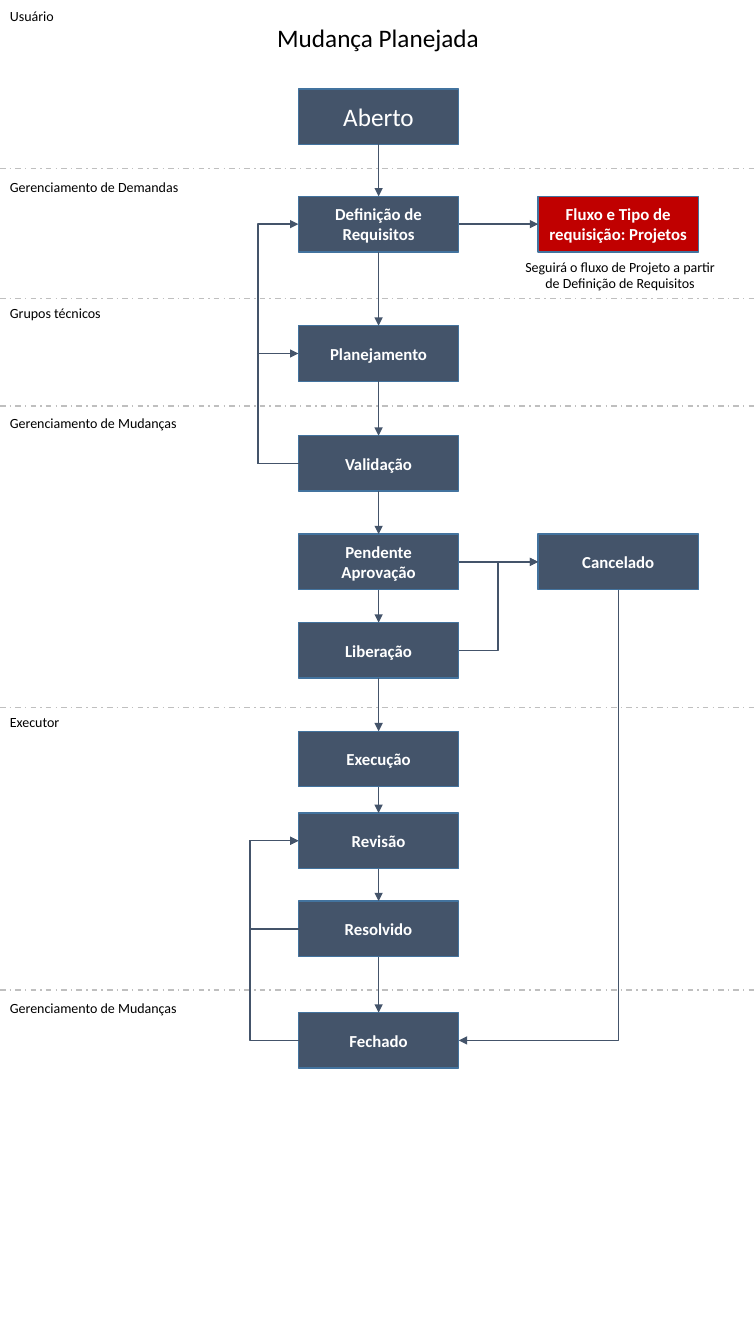
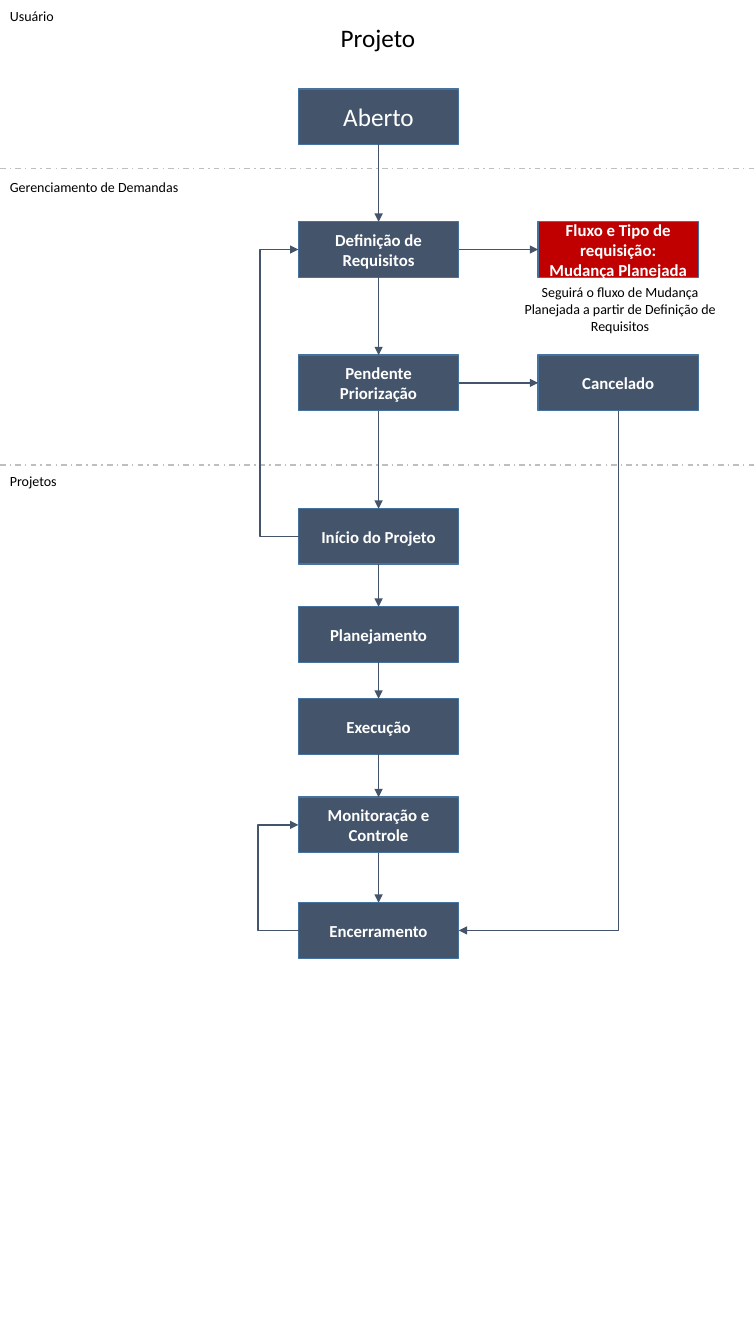
import lxml.etree
import pptx
import pptx.dml.color
import pptx.enum.dml
import pptx.enum.shapes
import pptx.enum.text
import pptx.oxml.ns
import pptx.util

Cm = pptx.util.Cm
Pt = pptx.util.Pt
qn = pptx.oxml.ns.qn
ALIGN = pptx.enum.text.PP_ALIGN
ANCHOR = pptx.enum.text.MSO_ANCHOR
CONNECTOR = pptx.enum.shapes.MSO_CONNECTOR

COLORS = {
    "step": "44546A",
    "redirect": "C00000",
    "outline": "43739E",
    "divider": "BFBFBF",
    "text": "000000",
    "white": "FFFFFF",
}
FONT = "Calibri"
PAGE_WIDTH, PAGE_HEIGHT = 19.05, 33.87
BOX_WIDTH, BOX_HEIGHT = 4.04, 1.4
MAIN_LEFT, BRANCH_LEFT = 7.52, 13.56
TOP, LEFT, BOTTOM, RIGHT = range(4)

PLANNED_CHANGE = {
    "title": "Mudança Planejada",
    "dividers": [4.24, 7.53, 10.23, 17.83, 24.95],
    "lanes": [
        ("Usuário", 0.07),
        ("Gerenciamento de Demandas", 4.38),
        ("Grupos técnicos", 7.55),
        ("Gerenciamento de Mudanças", 10.31),
        ("Executor", 17.86),
        ("Gerenciamento de Mudanças", 25.06),
    ],
    "steps": [
        ("Aberto", 2.24),
        ("Definição de Requisitos", 4.95),
        ("Planejamento", 8.21),
        ("Validação", 10.98),
        ("Pendente Aprovação", 13.46),
        ("Liberação", 15.69),
        ("Execução", 18.43),
        ("Revisão", 20.49),
        ("Resolvido", 22.71),
        ("Fechado", 25.52),
    ],
    "redirect": "Fluxo e Tipo de requisição: Projetos",
    "note": "Seguirá o fluxo de Projeto a partir de Definição de Requisitos",
    "note_height": 1.12,
    "cancel_from": "Pendente Aprovação",
    "loops": [
        ("Validação", "Definição de Requisitos", 6.5),
        ("Validação", "Planejamento", 6.5),
        ("Resolvido", "Revisão", 6.3),
        ("Fechado", "Revisão", 6.3),
    ],
    "late_cancel": ("Liberação", 12.55),
}

PROJECT = {
    "title": "Projeto",
    "dividers": [4.24, 11.72],
    "lanes": [
        ("Usuário", 0.07),
        ("Gerenciamento de Demandas", 4.38),
        ("Projetos", 11.79),
    ],
    "steps": [
        ("Aberto", 2.24),
        ("Definição de Requisitos", 5.59),
        ("Pendente Priorização", 8.95),
        ("Início do Projeto", 12.82),
        ("Planejamento", 15.29),
        ("Execução", 17.61),
        ("Monitoração e Controle", 20.09),
        ("Encerramento", 22.75),
    ],
    "redirect": "Fluxo e Tipo de requisição: Mudança Planejada",
    "note": "Seguirá o fluxo de Mudança Planejada a partir de Definição de Requisitos",
    "note_height": 1.54,
    "cancel_from": "Pendente Priorização",
    "loops": [
        ("Início do Projeto", "Definição de Requisitos", 6.55),
        ("Encerramento", "Monitoração e Controle", 6.5),
    ],
    "late_cancel": None,
}


def rgb(name):
    return pptx.dml.color.RGBColor.from_string(COLORS[name])


def write(shape, text, size, color="text", bold=False, align=ALIGN.CENTER):
    shape.text_frame.text = text
    para = shape.text_frame.paragraphs[0]
    para.alignment = align
    font = para.runs[0].font
    font.name, font.size, font.bold = FONT, Pt(size), bold
    font.color.rgb = rgb(color)


def set_title(page, text):
    title = page.shapes.title
    title.left, title.top = Cm(0), Cm(0.43)
    title.width, title.height = Cm(PAGE_WIDTH), Cm(1.02)
    title.text_frame.auto_size = pptx.enum.text.MSO_AUTO_SIZE.NONE
    title.text_frame.vertical_anchor = ANCHOR.TOP
    write(title, text, 18)


def add_text(page, text, left, top, width, height, align, wrap):
    box = page.shapes.add_textbox(Cm(left), Cm(top), Cm(width), Cm(height))
    box.text_frame.word_wrap = wrap
    box.text_frame.auto_size = pptx.enum.text.MSO_AUTO_SIZE.SHAPE_TO_FIT_TEXT
    write(box, text, 10, align=align)


def add_box(page, text, left, top, fill="step", size=12, bold=True):
    box = page.shapes.add_shape(
        pptx.enum.shapes.MSO_SHAPE.RECTANGLE,
        Cm(left), Cm(top), Cm(BOX_WIDTH), Cm(BOX_HEIGHT),
    )
    box.shadow.inherit = False
    box.fill.solid()
    box.fill.fore_color.rgb = rgb(fill)
    box.line.color.rgb = rgb("outline")
    box.line.width = Pt(1)
    box.text_frame.word_wrap = True
    box.text_frame.vertical_anchor = ANCHOR.MIDDLE
    write(box, text, size, "white", bold)
    return box


def style_line(line, color):
    line.line.color.rgb = rgb(color)
    line.line.width = Pt(1)
    lxml.etree.SubElement(line.element.spPr, qn("a:effectLst"))


def add_divider(page, top):
    line = page.shapes.add_connector(
        CONNECTOR.STRAIGHT, Cm(0), Cm(top), Cm(PAGE_WIDTH), Cm(top))
    style_line(line, "divider")
    line.line.dash_style = pptx.enum.dml.MSO_LINE.DASH_DOT


def add_arrow(page, source, source_side, target, target_side, kind=CONNECTOR.STRAIGHT):
    arrow = page.shapes.add_connector(kind, 0, 0, 0, 0)
    arrow.begin_connect(source, source_side)
    arrow.end_connect(target, target_side)
    style_line(arrow, "step")
    outline = arrow.element.spPr.find(qn("a:ln"))
    lxml.etree.SubElement(outline, qn("a:tailEnd"), type="triangle")
    return arrow


def add_elbow(page, source, source_side, target, lane):
    arrow = add_arrow(page, source, source_side, target, LEFT, CONNECTOR.ELBOW)
    if arrow.begin_x == arrow.end_x:
        arrow.begin_x = arrow.begin_x + Cm(0.02)
    bend = (Cm(lane) - arrow.begin_x) / (arrow.end_x - arrow.begin_x)
    geometry = arrow.element.spPr.find(qn("a:prstGeom"))
    guides = geometry.find(qn("a:avLst"))
    if guides is None:
        guides = lxml.etree.SubElement(geometry, qn("a:avLst"))
    lxml.etree.SubElement(
        guides, qn("a:gd"), name="adj1", fmla=f"val {round(bend * 100000)}")


def add_corner(page, source, target):
    arrow = add_arrow(page, source, BOTTOM, target, RIGHT, CONNECTOR.ELBOW)
    across, down = arrow.width, arrow.height
    shift = (across - down) // 2
    arrow.left, arrow.top = arrow.left + shift, arrow.top - shift
    arrow.width, arrow.height = down, across
    frame = arrow.element.spPr.find(qn("a:xfrm"))
    frame.attrib.pop("flipH", None)
    frame.set("rot", "5400000")
    arrow.element.spPr.find(qn("a:prstGeom")).set("prst", "bentConnector2")


def add_flow(deck, flow):
    page = deck.slides.add_slide(deck.slide_layouts.get_by_name("Title Only"))
    set_title(page, flow["title"])
    for top in flow["dividers"]:
        add_divider(page, top)
    for text, top in flow["lanes"]:
        add_text(page, text, 0, top, 4.8, 0.68, ALIGN.LEFT, False)

    tops = dict(flow["steps"])
    boxes = {}
    for text, top in flow["steps"]:
        is_start = text == "Aberto"
        boxes[text] = add_box(
            page, text, MAIN_LEFT, top, size=18 if is_start else 12, bold=not is_start)
    steps = list(boxes.values())
    for source, target in zip(steps, steps[1:]):
        add_arrow(page, source, BOTTOM, target, TOP)

    definition = "Definição de Requisitos"
    redirect = add_box(page, flow["redirect"], BRANCH_LEFT, tops[definition], "redirect")
    add_text(page, flow["note"], 12.88, tops[definition] + 1.43, 5.49,
             flow["note_height"], ALIGN.CENTER, True)
    cancelled = add_box(page, "Cancelado", BRANCH_LEFT, tops[flow["cancel_from"]])
    add_arrow(page, boxes[definition], RIGHT, redirect, LEFT)
    add_arrow(page, boxes[flow["cancel_from"]], RIGHT, cancelled, LEFT)
    add_corner(page, cancelled, steps[-1])

    for source, target, lane in flow["loops"]:
        add_elbow(page, boxes[source], LEFT, boxes[target], lane)
    if flow["late_cancel"]:
        source, lane = flow["late_cancel"]
        add_elbow(page, boxes[source], RIGHT, cancelled, lane)


def main():
    deck = pptx.Presentation()
    deck.slide_width, deck.slide_height = Cm(PAGE_WIDTH), Cm(PAGE_HEIGHT)
    for flow in (PLANNED_CHANGE, PROJECT):
        add_flow(deck, flow)
    deck.save("out.pptx")


if __name__ == "__main__":
    main()
